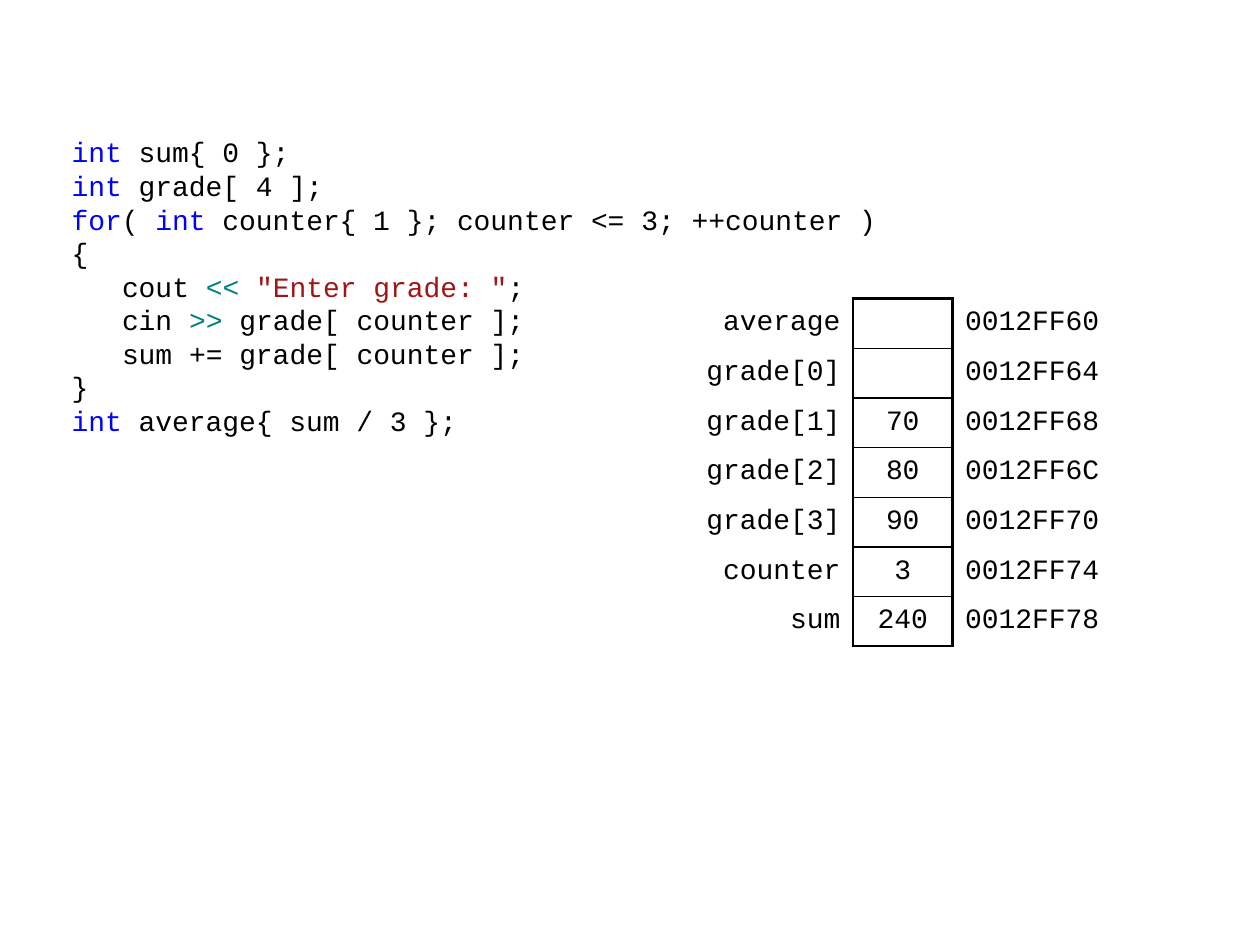
from dataclasses import dataclass
from typing import NamedTuple

from lxml import etree
from pptx import Presentation
from pptx.dml.color import RGBColor
from pptx.enum.text import MSO_ANCHOR, PP_ALIGN
from pptx.oxml.ns import qn
from pptx.util import Inches, Pt

MIDDLE = MSO_ANCHOR.MIDDLE
LEFT, CENTER, RIGHT = PP_ALIGN.LEFT, PP_ALIGN.CENTER, PP_ALIGN.RIGHT
PLAIN_GRID = "{2D5ABB26-0587-4C30-8999-92F81FD0307C}"


@dataclass(frozen=True)
class Theme:
    font: str = "Courier New"
    size: float = 16
    lead: float = 19.2
    ink: str = "000000"
    key: str = "0000FF"
    op: str = "008080"
    quote: str = "A31515"
    thick: float = 1.5
    thin: float = 1


class Bit(NamedTuple):
    text: str
    color: str


class Line(NamedTuple):
    bits: tuple[Bit, ...]
    depth: int = 0


class Slot(NamedTuple):
    name: str
    value: str
    address: str


THEME = Theme()


def ink(text: str) -> Bit:
    return Bit(text, THEME.ink)


def key(text: str) -> Bit:
    return Bit(text, THEME.key)


def op(text: str) -> Bit:
    return Bit(text, THEME.op)


CODE = (
    Line((key("int"), ink(" sum{ 0 };"))),
    Line((key("int"), ink(" grade[ 4 ];"))),
    Line((key("for"), ink("( "), key("int"),
          ink(" counter{ 1 }; counter <= 3; ++counter )"))),
    Line((ink("{"),)),
    Line((ink("cout "), op("<< "), Bit('"Enter grade: "', THEME.quote), ink(";")), 1),
    Line((ink("cin "), op(">>"), ink(" grade[ counter ];")), 1),
    Line((ink("sum += grade[ counter ];"),), 1),
    Line((ink("}"),)),
    Line((key("int"), ink(" average{ sum / 3 };"))),
)

SLOTS = (
    Slot("average", "", "0012FF60"),
    Slot("grade[0]", "", "0012FF64"),
    Slot("grade[1]", "70", "0012FF68"),
    Slot("grade[2]", "80", "0012FF6C"),
    Slot("grade[3]", "90", "0012FF70"),
    Slot("counter", "3", "0012FF74"),
    Slot("sum", "240", "0012FF78"),
)


def set_font(para) -> None:
    para.font.name = THEME.font
    para.font.size = Pt(THEME.size)
    para.font.color.rgb = RGBColor.from_string(THEME.ink)


def draw_code(slide, lines: tuple[Line, ...]) -> None:
    box = slide.shapes.add_textbox(Inches(0.47), Inches(0.99), Inches(6.69), Inches(2.56))
    frame = box.text_frame
    frame.word_wrap = True
    frame.vertical_anchor = MIDDLE
    for row, line in enumerate(lines):
        para = frame.add_paragraph() if row else frame.paragraphs[0]
        set_font(para)
        para.line_spacing = Pt(THEME.lead)
        if line.depth:
            props = para._p.get_or_add_pPr()
            props.set("marL", str(Inches(0.4 * line.depth)))
            props.set("indent", "0")
        for bit in line.bits:
            run = para.add_run()
            run.text = bit.text
            run.font.color.rgb = RGBColor.from_string(bit.color)


def set_edge(cell, side: str, width: float) -> None:
    props = cell._tc.get_or_add_tcPr()
    edge = etree.SubElement(props, qn(f"a:ln{side}"), w=str(Pt(width)))
    fill = etree.SubElement(edge, qn("a:solidFill"))
    etree.SubElement(fill, qn("a:srgbClr"), val=THEME.ink)


def draw_slots(slide, slots: tuple[Slot, ...]) -> None:
    widths = (1.38, 0.79, 1.38)
    high = 2.76
    last = len(slots) - 1
    frame = slide.shapes.add_table(len(slots), len(widths), Inches(5.39), Inches(2.37),
                                   Inches(sum(widths)), Inches(high))
    grid = frame.table
    grid.first_row = grid.horz_banding = False
    grid._tbl.tblPr.find(qn("a:tableStyleId")).text = PLAIN_GRID
    for col, width in zip(grid.columns, widths):
        col.width = Inches(width)
    for row, slot in enumerate(slots):
        grid.rows[row].height = Inches(high / len(slots))
        top = THEME.thin if row else THEME.thick
        base = THEME.thick if row == last else THEME.thin
        edges = (
            {"R": THEME.thick},
            {"L": THEME.thick, "R": THEME.thick, "T": top, "B": base},
            {"L": THEME.thick},
        )
        for col, (text, align) in enumerate(zip(slot, (RIGHT, CENTER, LEFT))):
            cell = grid.cell(row, col)
            cell.vertical_anchor = MIDDLE
            cell.margin_left = Inches(0.1)
            cell.margin_right = Inches(0.08 if align == LEFT else 0.1)
            cell.margin_top = cell.margin_bottom = Inches(0.04)
            for side, width in edges[col].items():
                set_edge(cell, side, width)
            cell.fill.background()
            para = cell.text_frame.paragraphs[0]
            para.alignment = align
            set_font(para)
            if text:
                para.add_run().text = text


def main() -> None:
    deck = Presentation()
    deck.slide_width, deck.slide_height = Inches(10), Inches(7.5)
    slide = deck.slides.add_slide(deck.slide_layouts[6])
    draw_code(slide, CODE)
    draw_slots(slide, SLOTS)
    deck.save("out.pptx")


if __name__ == "__main__":
    main()
